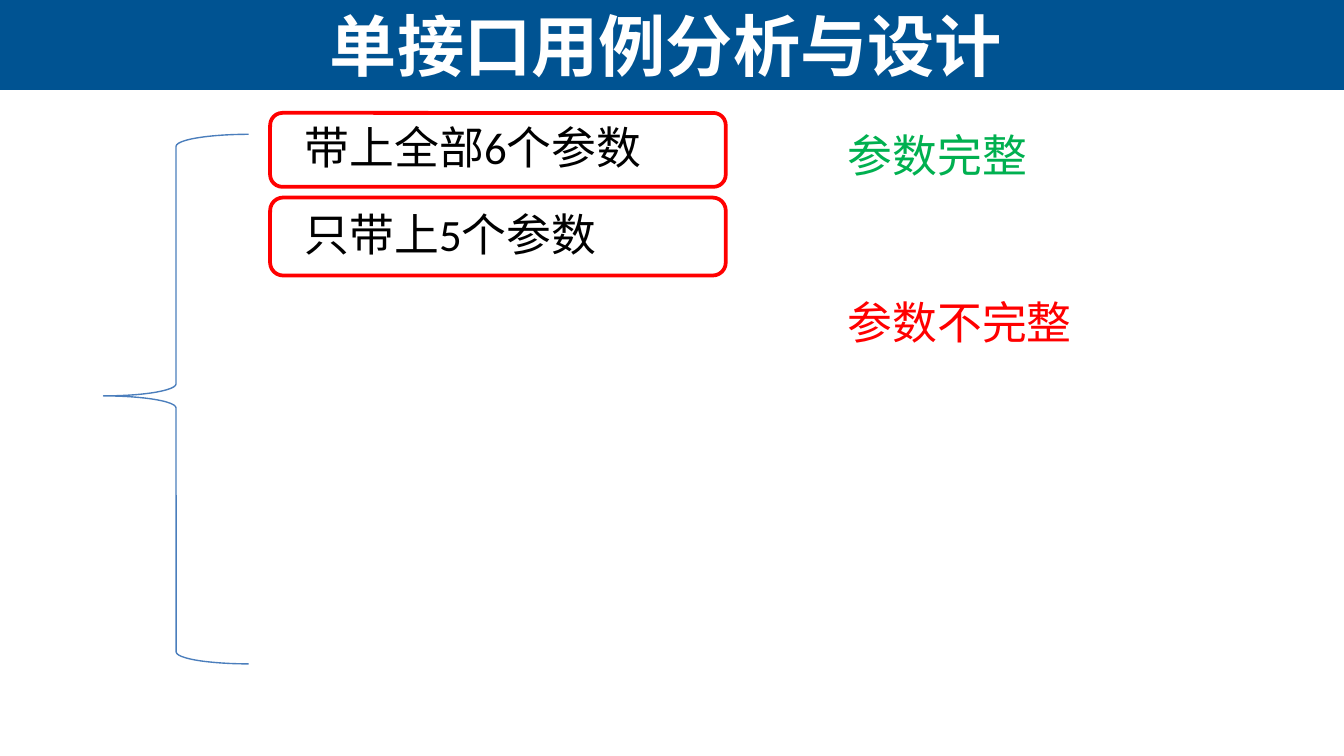
"""Build the slide on single-interface test case analysis and design."""
from dataclasses import dataclass

from pptx import Presentation
from pptx import util as u
from pptx.dml.color import RGBColor
from pptx.enum import shapes, text


@dataclass(frozen=True)
class Theme:
    band: str = "005392"
    brace: str = "4B7EBC"
    white: str = "FFFFFF"
    black: str = "000000"
    green: str = "00B050"
    red: str = "FF0000"
    title_font: str = "Arial"
    body_font: str = "Calibri"
    title_size: int = 36
    body_size: int = 24


THEME = Theme()
KIND = shapes.MSO_SHAPE


def add_shape(s, kind, box, fill=None, line=None, width=1, adjust=()):
    sp = s.shapes.add_shape(kind, *map(u.Inches, box))
    sp.shadow.inherit = False
    if fill:
        sp.fill.solid()
        sp.fill.fore_color.rgb = RGBColor.from_string(fill)
    else:
        sp.fill.background()
    if line:
        sp.line.color.rgb = RGBColor.from_string(line)
        sp.line.width = u.Pt(width)
    else:
        sp.line.fill.background()
    for i, value in enumerate(adjust):
        sp.adjustments[i] = value


def write(sp, lines, color, para=None, **font):
    tf = sp.text_frame
    tf.word_wrap = True
    formats = {"name": THEME.body_font, "size": u.Pt(THEME.body_size), **font}
    for i, line in enumerate(lines):
        p = tf.paragraphs[0] if i == 0 else tf.add_paragraph()
        for key, value in (para or {}).items():
            setattr(p, key, value)
        r = p.add_run()
        r.text = line
        r.font.color.rgb = RGBColor.from_string(color)
        for key, value in formats.items():
            setattr(r.font, key, value)


def add_text(s, box, lines, color, para=None):
    sp = s.shapes.add_textbox(*map(u.Inches, box))
    write(sp, lines, color, para)


def add_title(s, title):
    add_shape(s, KIND.RECTANGLE, (0, 0, 10, 0.67), fill=THEME.band)
    sp = s.shapes.add_textbox(*map(u.Inches, (0.02, 0, 9.87, 0.67)))
    sp.text_frame.vertical_anchor = text.MSO_ANCHOR.MIDDLE
    write(sp, [title], THEME.white, {"alignment": text.PP_ALIGN.CENTER},
          name=THEME.title_font, size=u.Pt(THEME.title_size), bold=True)


def main():
    prs = Presentation()
    prs.slide_width = u.Inches(10)
    prs.slide_height = u.Inches(10 * 9 / 16)
    s = prs.slides.add_slide(prs.slide_layouts[6])

    add_title(s, "单接口用例分析与设计")
    add_shape(s, KIND.LEFT_BRACE, (0.77, 1, 1.08, 3.94), line=THEME.brace,
              width=0.75, adjust=(0.083, 0.494))
    add_text(s, (2.17, 0.84, 5.66, 1.82), ["带上全部6个参数", "只带上5个参数"],
             THEME.black, {"space_before": u.Pt(18)})
    for top, height in ((0.84, 0.55), (1.47, 0.58)):
        add_shape(s, KIND.ROUNDED_RECTANGLE, (2.01, top, 3.39, height),
                  line=THEME.red, width=2)
    for top, width, label, color in ((0.9, 2.24, "参数完整", THEME.green),
                                     (2.14, 3.23, "参数不完整", THEME.red)):
        add_text(s, (6.21, top, width, 0.5), [label], color)

    prs.save("out.pptx")


if __name__ == "__main__":
    main()
